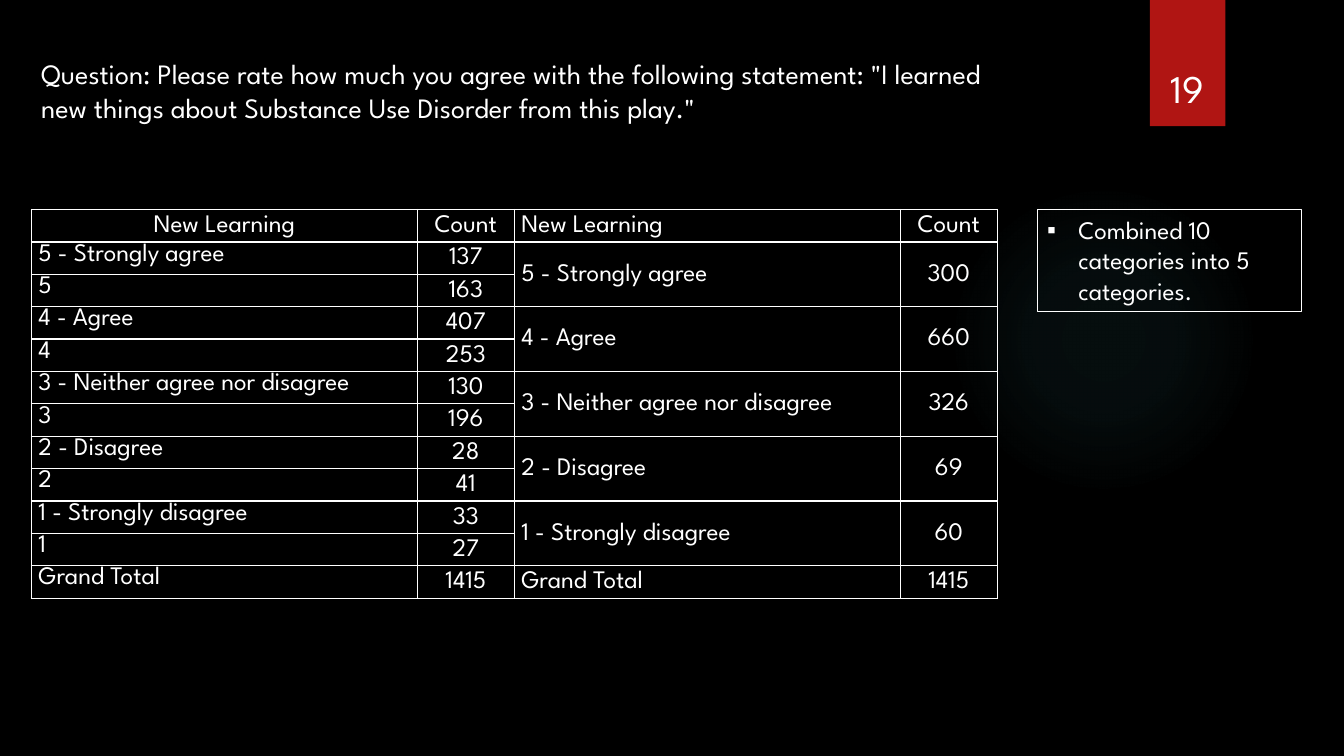
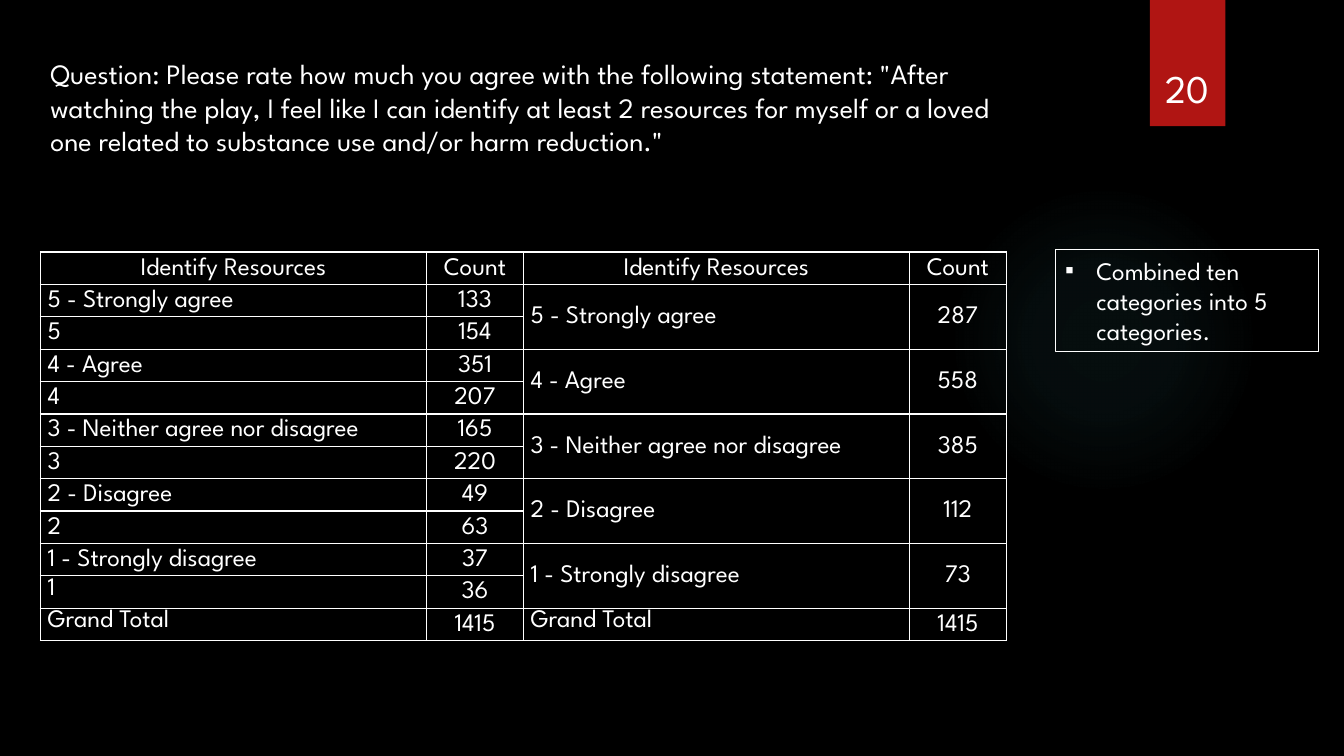
from dataclasses import dataclass

from lxml import etree
from pptx import Presentation
from pptx.dml.color import RGBColor
from pptx.enum.shapes import MSO_SHAPE
from pptx.enum.text import MSO_ANCHOR, MSO_AUTO_SIZE, PP_ALIGN
from pptx.oxml import parse_xml
from pptx.oxml.ns import nsdecls, qn
from pptx.util import Cm, Pt

ELLIPSE, RECTANGLE = MSO_SHAPE.OVAL, MSO_SHAPE.RECTANGLE
TOP, MIDDLE, BOTTOM = MSO_ANCHOR.TOP, MSO_ANCHOR.MIDDLE, MSO_ANCHOR.BOTTOM
LEFT, CENTER = PP_ALIGN.LEFT, PP_ALIGN.CENTER
GROW = MSO_AUTO_SIZE.SHAPE_TO_FIT_TEXT

FONT = "League Spartan"
BLACK, WHITE, RED, TEAL = "000000", "FFFFFF", "B01513", "50B9C1"

SCALE = ("5 - Strongly agree", "4 - Agree", "3 - Neither agree nor disagree",
         "2 - Disagree", "1 - Strongly disagree")
COLUMN_WIDTHS = (9.73, 2.44, 9.73, 2.44)
ROW_HEIGHT = 0.81
GLOW_STOPS = ((0, 7), (36, 6), (69, 0))  # position and opacity in percent


@dataclass(frozen=True)
class Box:
    left: float
    top: float
    width: float
    height: float

    def lengths(self) -> tuple:
        return Cm(self.left), Cm(self.top), Cm(self.width), Cm(self.height)


@dataclass(frozen=True)
class Survey:
    number: int
    question: str
    question_box: Box
    topic: str
    counts: tuple  # two answers for each step of the scale
    table_left: float
    table_top: float
    note: str
    note_box: Box
    combined_header_align: PP_ALIGN
    first_top_row: int  # from this row on, answer labels sit at the top
    combined_total_anchor: MSO_ANCHOR


SURVEYS = (
    Survey(
        number=19,
        question='Question: Please rate how much you agree with the following statement: '
                 '"I learned new things about Substance Use Disorder from this play."',
        question_box=Box(0.79, 1.3, 24.56, 2.82),
        topic="New Learning",
        counts=((137, 163), (407, 253), (130, 196), (28, 41), (33, 27)),
        table_left=0.79, table_top=5.28,
        note="Combined 10 categories into 5 categories.",
        note_box=Box(26.14, 5.28, 6.65, 2.57),
        combined_header_align=LEFT, first_top_row=1, combined_total_anchor=MIDDLE),
    Survey(
        number=20,
        question='Question: Please rate how much you agree with the following statement: '
                 '"After watching the play, I feel like I can identify at least 2 resources '
                 'for myself or a loved one related to substance use and/or harm reduction."',
        question_box=Box(1.02, 1.3, 24.33, 3.68),
        topic="Identify Resources",
        counts=((133, 154), (351, 207), (165, 220), (49, 63), (37, 36)),
        table_left=1.02, table_top=6.35,
        note="Combined ten categories into 5 categories.",
        note_box=Box(26.59, 6.3, 6.65, 2.57),
        combined_header_align=CENTER, first_top_row=10, combined_total_anchor=TOP),
)


def color(value: str) -> RGBColor:
    return RGBColor.from_string(value)


def write(frame, text: str, size: float, align=LEFT, anchor=TOP) -> None:
    frame.word_wrap = True
    frame.vertical_anchor = anchor
    paragraph = frame.paragraphs[0]
    paragraph.text = text
    paragraph.alignment = align
    font = paragraph.runs[0].font
    font.name, font.size = FONT, Pt(size)
    font.color.rgb = color(WHITE)


def add_plain_shape(slide, kind, box: Box):
    shape = slide.shapes.add_shape(kind, *box.lengths())
    shape.shadow.inherit = False
    shape.fill.background()
    shape.line.fill.background()
    return shape


def add_glow(slide) -> None:
    glow = add_plain_shape(slide, ELLIPSE, Box(23.9, 4.65, 7.82, 7.82))
    stops = "".join(
        f'<a:gs pos="{position * 1000}"><a:srgbClr val="{TEAL}">'
        f'<a:alpha val="{opacity * 1000}"/></a:srgbClr></a:gs>'
        for position, opacity in GLOW_STOPS)
    gradient = parse_xml(
        f'<a:gradFill {nsdecls("a")} rotWithShape="1"><a:gsLst>{stops}</a:gsLst>'
        '<a:path path="circle"><a:fillToRect l="50000" t="50000" r="50000" b="50000"/>'
        '</a:path></a:gradFill>')
    properties = glow.fill._xPr
    properties.replace(properties.find(qn("a:noFill")), gradient)


def add_page_number(slide, number: int) -> None:
    band = add_plain_shape(slide, RECTANGLE, Box(28.98, 0, 1.9, 3.18))
    band.fill.solid()
    band.fill.fore_color.rgb = color(RED)
    page = slide.shapes.add_textbox(*Box(28.75, 0.81, 2.34, 2.13).lengths())
    write(page.text_frame, str(number), 28, CENTER, BOTTOM)


def add_question(slide, survey: Survey) -> None:
    question = slide.shapes.add_textbox(*survey.question_box.lengths())
    write(question.text_frame, survey.question, 20)
    question.text_frame.auto_size = GROW


def add_note(slide, survey: Survey) -> None:
    note = add_plain_shape(slide, RECTANGLE, survey.note_box)
    note.line.color.rgb = color(WHITE)
    note.line.width = Pt(0.75)
    properties = note.text_frame.paragraphs[0]._p.get_or_add_pPr()
    properties.set("marL", str(Cm(0.79)))
    properties.set("indent", str(-Cm(0.79)))
    etree.SubElement(properties, qn("a:buFont"), typeface="Arial")
    etree.SubElement(properties, qn("a:buChar"), char="▪")
    write(note.text_frame, survey.note, 18)
    note.text_frame.auto_size = GROW


def outline_cell(cell) -> None:
    properties = cell._tc.get_or_add_tcPr()
    for side in ("lnL", "lnR", "lnT", "lnB"):
        properties.append(parse_xml(
            f'<a:{side} {nsdecls("a")} w="{Pt(1)}"><a:solidFill>'
            f'<a:srgbClr val="{WHITE}"/></a:solidFill></a:{side}>'))
    cell.fill.background()


def fill_cell(cell, text: str, align=LEFT, anchor=MIDDLE) -> None:
    write(cell.text_frame, text, 18, align)
    cell.vertical_anchor = anchor
    paragraph = cell.text_frame.paragraphs[0]
    paragraph.line_spacing = 1.07
    paragraph.space_after = Pt(8)


def add_counts_table(slide, survey: Survey) -> None:
    row_count = 2 * len(SCALE) + 2
    box = Box(survey.table_left, survey.table_top,
              sum(COLUMN_WIDTHS), row_count * ROW_HEIGHT)
    table = slide.shapes.add_table(
        row_count, len(COLUMN_WIDTHS), *box.lengths()).table
    table.first_row = table.horz_banding = False
    for column, width in zip(table.columns, COLUMN_WIDTHS):
        column.width = Cm(width)
    for row in table.rows:
        row.height = Cm(ROW_HEIGHT)
    for cell in table.iter_cells():
        cell.margin_left = cell.margin_right = Cm(0.18)
        cell.margin_top = cell.margin_bottom = 0
        outline_cell(cell)

    def label_anchor(row: int):
        return TOP if row >= survey.first_top_row else MIDDLE

    # Header
    for column, align in ((0, CENTER), (2, survey.combined_header_align)):
        fill_cell(table.cell(0, column), survey.topic, align)
        fill_cell(table.cell(0, column + 1), "Count", CENTER)

    # Ten answers on the left, five combined ones on the right
    for step, (label, pair) in enumerate(zip(SCALE, survey.counts)):
        first = 1 + 2 * step
        for row, answer, count in zip((first, first + 1), (label, label[0]), pair):
            fill_cell(table.cell(row, 0), answer, anchor=label_anchor(row))
            fill_cell(table.cell(row, 1), str(count), CENTER)
        for column, text, align in ((2, label, LEFT), (3, str(sum(pair)), CENTER)):
            combined = table.cell(first, column)
            combined.merge(table.cell(first + 1, column))
            fill_cell(combined, text, align)

    # Totals
    last = row_count - 1
    total = str(sum(map(sum, survey.counts)))
    for column, anchor in ((0, label_anchor(last)), (2, survey.combined_total_anchor)):
        fill_cell(table.cell(last, column), "Grand Total", anchor=anchor)
        fill_cell(table.cell(last, column + 1), total, CENTER)


def main() -> None:
    deck = Presentation()
    deck.slide_width, deck.slide_height = Cm(33.87), Cm(19.05)
    backdrop = deck.slide_master.background.fill
    backdrop.solid()
    backdrop.fore_color.rgb = color(BLACK)
    for survey in SURVEYS:
        slide = deck.slides.add_slide(deck.slide_layouts[6])
        add_glow(slide)
        add_page_number(slide, survey.number)
        add_note(slide, survey)
        add_question(slide, survey)
        add_counts_table(slide, survey)
    deck.save("out.pptx")


if __name__ == "__main__":
    main()
